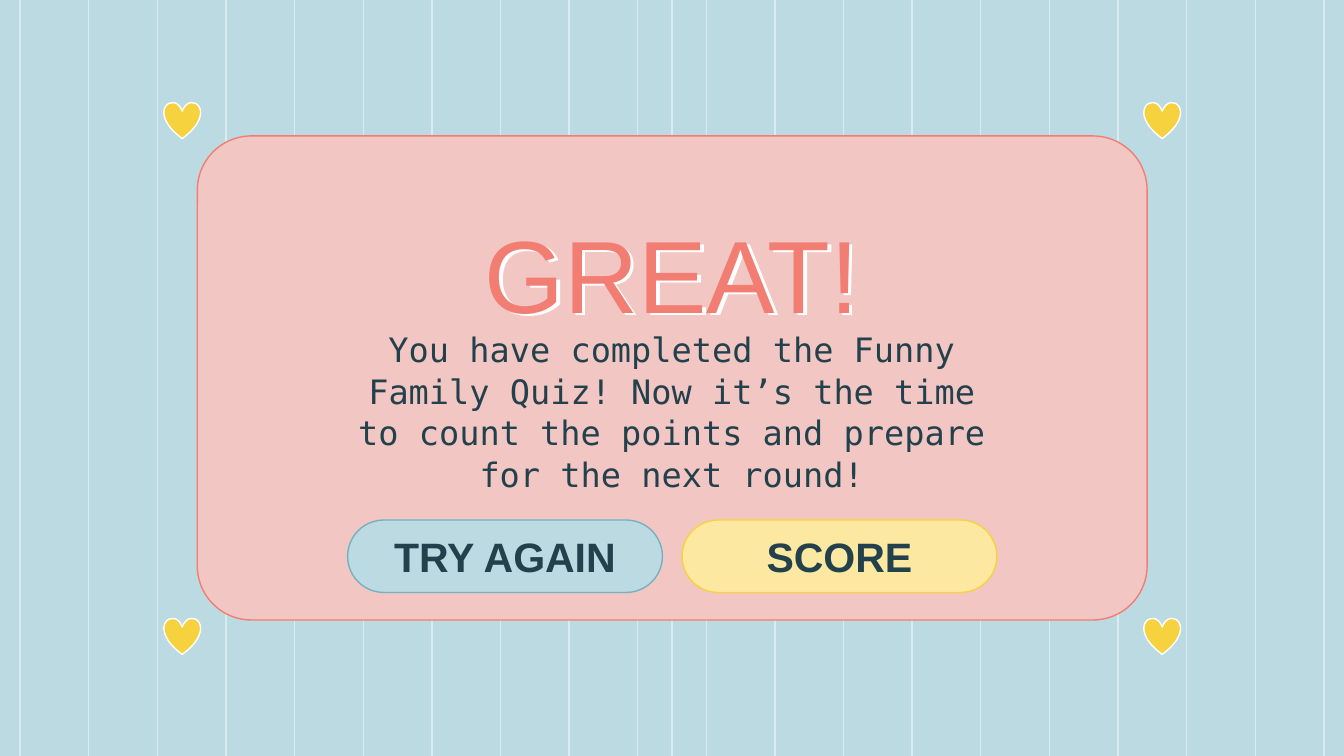
from dataclasses import dataclass

from lxml import etree
from pptx import Presentation
from pptx.dml.color import RGBColor
from pptx.enum import shapes, text
from pptx.oxml import ns
from pptx.util import Cm, Pt

WIDE, HIGH = 25.4, 14.29
BLUE, PALE, PINK, CORAL = "BCDAE2", "D8EBF0", "F2C6C2", "F27D72"
GOLD, WHITE, INK = "F7D23F", "FFFFFF", "23414C"
SANS, MONO = "Arial", "DejaVu Sans Mono"


@dataclass
class Box:
    left: float
    top: float
    width: float
    height: float

    def place(self) -> tuple:
        return Cm(self.left), Cm(self.top), Cm(self.width), Cm(self.height)


@dataclass
class Button:
    label: str
    left: float
    fill: str
    edge: str


def color(code: str) -> RGBColor:
    return RGBColor.from_string(code)


def effects(item, parent=None):
    """Add an empty effect list to the shape properties."""
    return etree.SubElement(item.element.spPr, ns.qn("a:effectLst"))


def stripe(slide, x: float) -> None:
    line = slide.shapes.add_connector(
        shapes.MSO_CONNECTOR.STRAIGHT, Cm(x), Cm(0), Cm(x), Cm(HIGH))
    line.line.color.rgb = color(PALE)
    line.line.width = Pt(0.75)
    effects(line)


def draw(slide, kind, box: Box, fill: str, edge: str):
    item = slide.shapes.add_shape(kind, *box.place())
    item.shadow.inherit = False
    item.fill.solid()
    item.fill.fore_color.rgb = color(fill)
    item.line.color.rgb = color(edge)
    item.line.width = Pt(0.75)
    return item


def write(item, words: str, size: float, face: str, ink: str,
          bold: bool = False) -> None:
    frame = item.text_frame
    frame.text = words
    frame.word_wrap = True
    frame.auto_size = text.MSO_AUTO_SIZE.NONE
    frame.vertical_anchor = text.MSO_ANCHOR.MIDDLE
    frame.margin_left = frame.margin_right = Cm(0.25)
    frame.margin_top = frame.margin_bottom = Cm(0.25)
    line = frame.paragraphs[0]
    line.alignment = text.PP_ALIGN.CENTER
    font = line.runs[0].font
    font.size, font.name, font.bold = Pt(size), face, bold
    font.color.rgb = color(ink)


def glow(item, ink: str) -> None:
    """Cast a hard shadow down and to the right."""
    cast = etree.SubElement(
        effects(item), ns.qn("a:outerShdw"), dist="28575", dir="1800000",
        algn="bl", rotWithShape="0")
    etree.SubElement(cast, ns.qn("a:srgbClr"), val=ink)


def main() -> None:
    deck = Presentation()
    deck.slide_width, deck.slide_height = Cm(WIDE), Cm(HIGH)
    slide = deck.slides.add_slide(deck.slide_layouts[5])
    kind = shapes.MSO_SHAPE

    # Striped background
    slide.background.fill.solid()
    slide.background.fill.fore_color.rgb = color(BLUE)
    count, edge = 20, 0.38
    step = (WIDE - 2 * edge) / (count - 1)
    for i in range(count):
        stripe(slide, edge + i * step)
    stripe(slide, WIDE / 2)

    # Panel with a heart at each corner
    panel = draw(slide, kind.ROUNDED_RECTANGLE,
                 Box(3.73, 2.57, 17.95, 9.15), PINK, CORAL)
    panel.adjustments[0] = 0.112
    for top in (1.93, 11.68):
        for left in (3.1, 21.62):
            draw(slide, kind.HEART, Box(left, top, 0.69, 0.69), GOLD, WHITE)

    # Message
    body = slide.shapes.add_textbox(*Box(6.28, 6.45, 12.83, 2.64).place())
    write(body, "You have completed the Funny Family Quiz! Now it’s the time "
          "to count the points and prepare for the next round!",
          18, MONO, INK)
    body.text_frame.paragraphs[0].line_spacing = 1.03

    # Title, brought in front of the panel
    title = slide.shapes.title
    title.left, title.top, title.width, title.height = Box(
        6.28, 3.78, 12.83, 2.74).place()
    write(title, "GREAT!", 55, SANS, CORAL)
    glow(title, WHITE)
    title.element.getparent().append(title.element)

    # Buttons
    for button in (Button("TRY AGAIN", 6.57, BLUE, "76B1C1"),
                   Button("SCORE", 12.89, "FDE8A1", GOLD)):
        pill = draw(slide, kind.ROUNDED_RECTANGLE,
                    Box(button.left, 9.83, 5.95, 1.37),
                    button.fill, button.edge)
        pill.adjustments[0] = 0.5
        write(pill, button.label, 22, SANS, INK, True)
        pill.text_frame.margin_top = Cm(0.23)

    deck.save("out.pptx")


if __name__ == "__main__":
    main()
